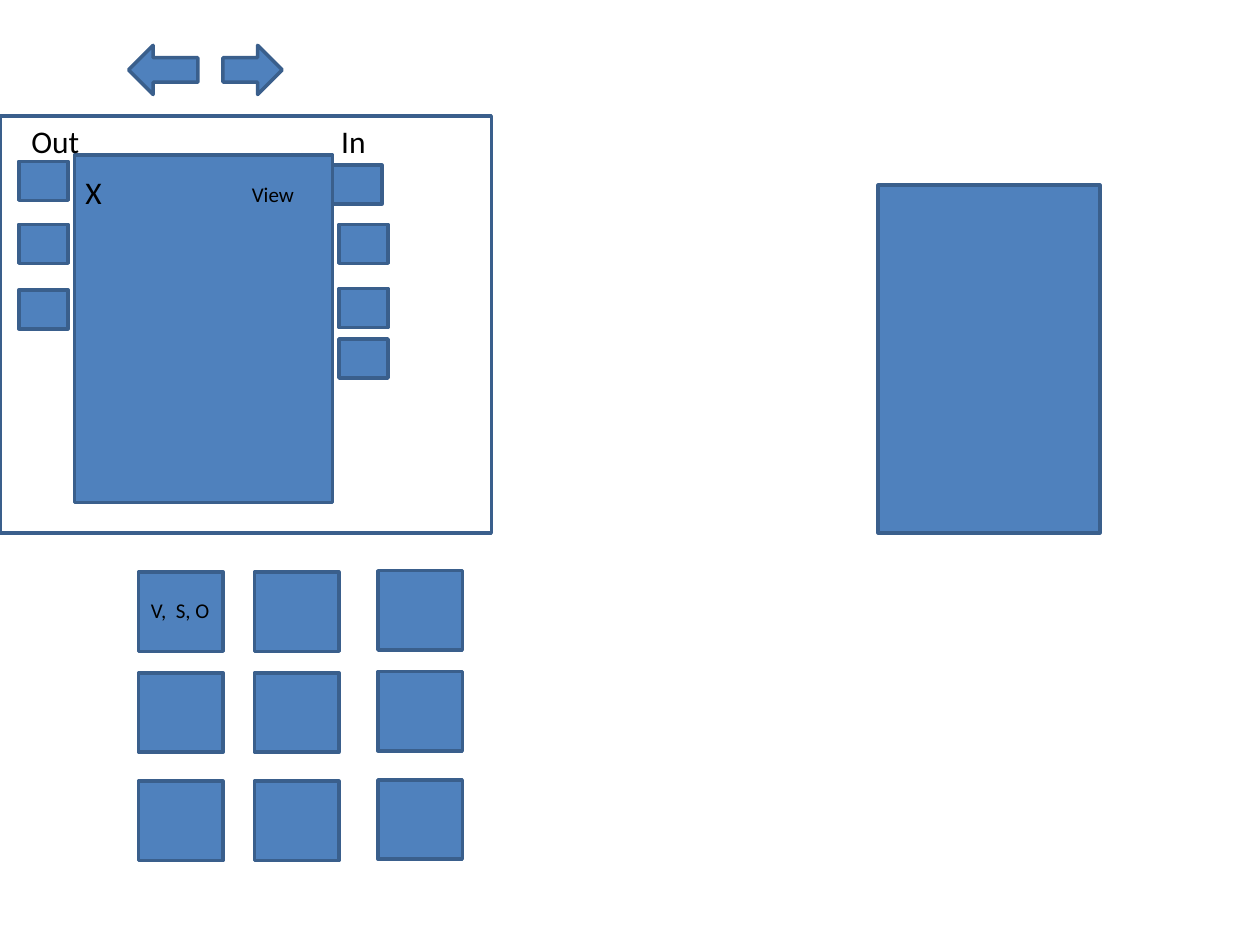
from itertools import product

from pptx import Presentation
from pptx import util as u
from pptx.dml.color import RGBColor
from pptx.enum import shapes, text

BLUE, EDGE, INK = "4F81BD", "3A5F8C", "000000"
SHAPE = shapes.MSO_SHAPE

deck = Presentation()
deck.slide_width, deck.slide_height = u.Inches(10), u.Inches(7.5)
slide = deck.slides.add_slide(deck.slide_layouts[6])


def add_block(left, top, width, height, kind=SHAPE.RECTANGLE, fill=BLUE):
    """Draw an outlined shape, hollow when fill is None; lengths in inches."""
    block = slide.shapes.add_shape(kind, *map(u.Inches, (left, top, width, height)))
    block.shadow.inherit = False
    if fill:
        block.fill.solid()
        block.fill.fore_color.rgb = RGBColor.from_string(fill)
    else:
        block.fill.background()
    block.line.color.rgb = RGBColor.from_string(EDGE)
    block.line.width = u.Pt(2)


def add_label(words, left, top, width, height, size):
    """Write one left-aligned label; lengths in inches, size in points."""
    frame = slide.shapes.add_textbox(*map(u.Inches, (left, top, width, height))).text_frame
    frame.word_wrap = True
    frame.margin_right = 0
    frame.vertical_anchor = text.MSO_ANCHOR.TOP
    run = frame.paragraphs[0].add_run()
    run.text = words
    run.font.name = "Calibri"
    run.font.size = u.Pt(size)
    run.font.color.rgb = RGBColor.from_string(INK)


# Main view, the separate panel and the frame around the view
add_block(6.97, 1.47, 1.76, 2.76)
add_block(0.59, 1.23, 2.05, 2.76)
add_block(0, 0.92, 3.9, 3.31, fill=None)

# Navigation arrows
add_block(1.02, 0.36, 0.55, 0.39, SHAPE.LEFT_ARROW)
add_block(1.77, 0.36, 0.47, 0.39, SHAPE.RIGHT_ARROW)

# Ports on either side of the view
out_ports = [(0.15, top) for top in (1.28, 1.78, 2.3)]
in_ports = [(2.64, 1.31)] + [(2.69, top) for top in (1.78, 2.29, 2.69)]
for left, top in out_ports + in_ports:
    add_block(left, top, 0.39, 0.31)

# Three by three tiles, the last column slightly raised
tile_columns = [(1.1, 0), (2.02, 0), (3, 0.01)]
tile_rows = [4.54, 5.34, 6.2]
for top, (left, lift) in product(tile_rows, tile_columns):
    add_block(left, top - lift, 0.67, 0.63)

for label in [
    ("X", 0.58, 1.32, 0.44, 0.71, 18),
    ("Out", 0.15, 0.92, 0.76, 0.4, 18),
    ("In", 2.61, 0.92, 0.76, 0.4, 18),
    ("View", 1.9, 1.39, 0.58, 0.3, 12),
    ("V,  S, O", 1.1, 4.69, 0.67, 0.3, 12),
]:
    add_label(*label)

deck.save("out.pptx")
